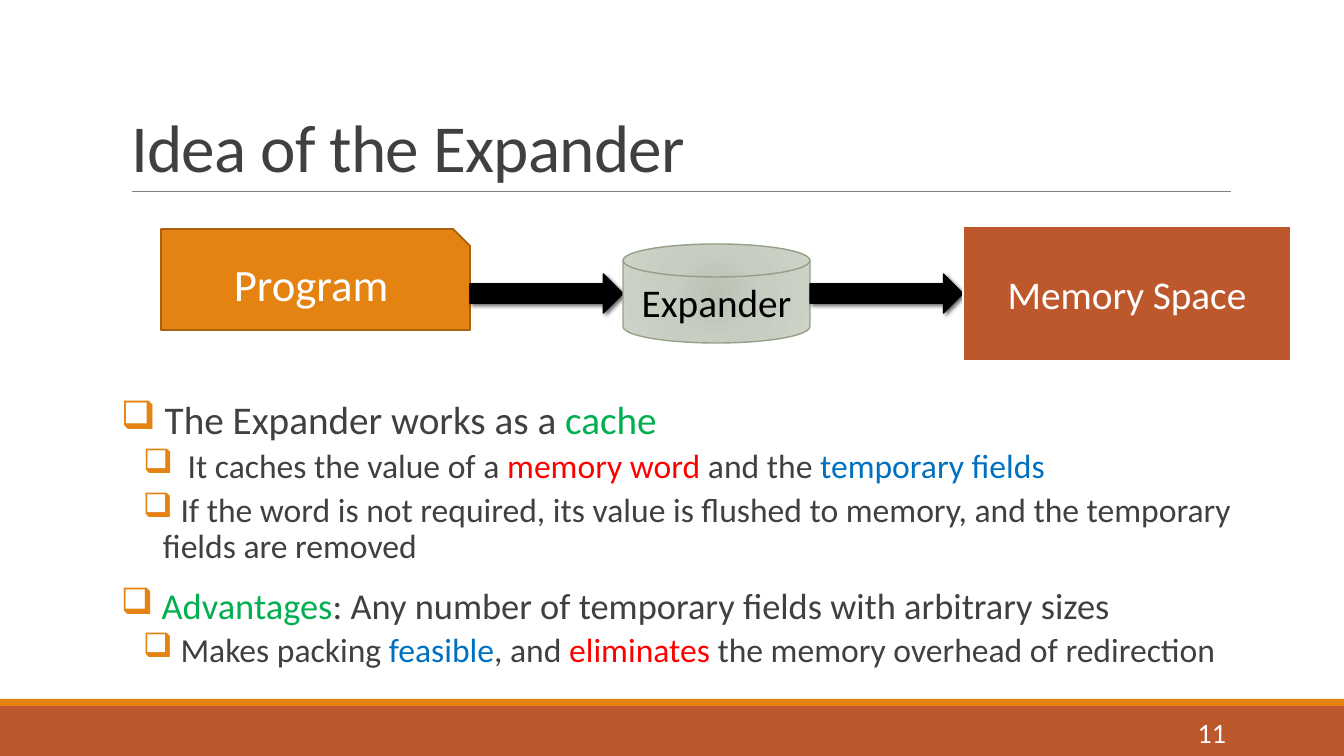
from collections import namedtuple

from pptx import Presentation
from pptx.dml.color import RGBColor
from pptx.enum.shapes import MSO_CONNECTOR, MSO_SHAPE as Preset
from pptx.enum.text import MSO_ANCHOR as Anchor, PP_ALIGN as Align
from pptx.oxml import parse_xml
from pptx.oxml.ns import nsdecls
from pptx.util import Pt

Box = namedtuple("Box", "left top width height")
Step = namedtuple("Step", "preset width height lift fill line line_width label size color")

EMU_PER_PX = 914400 / 100.8
FONT = "Calibri"
WHITE = RGBColor(0xFF, 0xFF, 0xFF)
BLACK = RGBColor(0x00, 0x00, 0x00)
DARK = RGBColor(0x40, 0x40, 0x40)
GRAY = RGBColor(0x80, 0x80, 0x80)
ORANGE = RGBColor(0xE4, 0x83, 0x12)
BROWN = RGBColor(0xA9, 0x61, 0x0D)
RUST = RGBColor(0xBD, 0x58, 0x2C)
SAGE = RGBColor(0x94, 0xA0, 0x88)
GREEN = RGBColor(0x00, 0xB0, 0x50)
RED = RGBColor(0xFF, 0x00, 0x00)
BLUE = RGBColor(0x00, 0x70, 0xC0)
DISK_STOPS = ((0, "BBC3B5"), (45, "C7CDC1"), (100, "CDD4C7"))

ARROW = Step(Preset.RIGHT_ARROW, 153, 39, 0, BLACK, BLACK, 1, "", 0, BLACK)
STEPS = (
    Step(Preset.SNIP_1_RECTANGLE, 309, 101, 14, ORANGE, BROWN, 1.25, "Program", 32, WHITE),
    ARROW,
    Step(Preset.FLOWCHART_MAGNETIC_DISK, 187, 99, 0, None, SAGE, 1, "Expander", 28, BLACK),
    ARROW,
    Step(Preset.RECTANGLE, 328, 135, 0, RUST, WHITE, 2, "Memory Space", 28, WHITE),
)

TOP = {"level": 0, "space_before": Pt(12), "space_after": Pt(2)}
SUB = {"level": 1, "space_before": Pt(2), "space_after": Pt(4)}
POINTS = (
    (TOP, 28, 10, 10, ((" The Expander works as a ", DARK), ("cache", GREEN))),
    (SUB, 24, 59, 37, ((" It caches the value of a ", DARK), ("memory word ", RED),
                       ("and the ", DARK), ("temporary fields", BLUE))),
    (SUB, 24, 42, 20, ((" If the word is not required, its value is flushed to memory, "
                        "and the temporary fields are removed", DARK),)),
    (TOP, 26, 10, 10, ((" ", DARK), ("Advantages", GREEN),
                       (": Any number of temporary fields with arbitrary sizes", DARK))),
    (SUB, 24, 42, 20, ((" Makes packing ", DARK), ("feasible", BLUE), (", and ", DARK),
                       ("eliminates", RED),
                       (" the memory overhead of redirection", DARK))),
)


def px(length):
    """Turn a length in px into EMU."""
    return round(length * EMU_PER_PX)


def emu(box):
    """Turn a box in px into EMU values."""
    return [px(length) for length in box]


def apply(target, values):
    """Set each named attribute of the target."""
    for name, value in values.items():
        setattr(target, name, value)


def add_span(para, text, size, color):
    """Append one formatted run to a paragraph."""
    span = para.add_run()
    span.text = text
    apply(span.font, {"name": FONT, "size": Pt(size)})
    span.font.color.rgb = color
    return span


def add_block(page, preset, box, fill):
    """Place a preset shape without line or shadow."""
    block = page.shapes.add_shape(preset, *emu(box))
    block.shadow.inherit = False
    block.line.fill.background()
    if fill is not None:
        block.fill.solid()
        block.fill.fore_color.rgb = fill
    return block


def add_disk_gradient(disk):
    """Fill the disk with a circular gradient."""
    stops = "".join(
        f'<a:gs pos="{place * 1000}"><a:srgbClr val="{color}"/></a:gs>'
        for place, color in DISK_STOPS)
    disk._element.spPr.insert(2, parse_xml(
        f'<a:gradFill {nsdecls("a")} rotWithShape="1"><a:gsLst>{stops}</a:gsLst>'
        '<a:path path="circle"><a:fillToRect l="100000" t="100000" r="100000" '
        'b="100000"/></a:path></a:gradFill>'))


def add_arrow_shadow(arrow):
    """Give an arrow a soft shadow to the lower right."""
    effects = arrow._element.spPr.find("{*}effectLst")
    effects.append(parse_xml(
        f'<a:outerShdw {nsdecls("a")} blurRad="{Pt(3)}" dist="{Pt(2)}" dir="2700000" '
        'rotWithShape="0"><a:srgbClr val="000000"><a:alpha val="60000"/></a:srgbClr>'
        '</a:outerShdw>'))


def add_title(page, box):
    """Fill the title and draw the rule beneath it."""
    title = page.shapes.title
    apply(title, dict(zip(box._fields, emu(box))))
    apply(title.text_frame, {"vertical_anchor": Anchor.BOTTOM, "word_wrap": True})
    para = title.text_frame.paragraphs[0]
    apply(para, {"alignment": Align.LEFT, "line_spacing": 0.85})
    span = add_span(para, "Idea of the Expander", 48, DARK)
    span._r.get_or_add_rPr().set("spc", "-50")
    left, bottom = box.left + 11, box.top + box.height
    rule = page.shapes.add_connector(
        MSO_CONNECTOR.STRAIGHT, px(left), px(bottom), px(left + 1099), px(bottom))
    rule.line.color.rgb = GRAY
    rule.line.width = Pt(0.5)
    rule._element.spPr.append(parse_xml(f'<a:effectLst {nsdecls("a")}/>'))


def add_flow(page, box):
    """Chain the steps from left to right about the middle of the box."""
    left = box.left
    for step in STEPS:
        top = box.top + (box.height - step.height) / 2 - step.lift
        block = add_block(page, step.preset, Box(left, top, step.width, step.height), step.fill)
        left += step.width
        if step.fill is None:
            add_disk_gradient(block)
        block.line.color.rgb = step.line
        block.line.width = Pt(step.line_width)
        if step is ARROW:
            add_arrow_shadow(block)
        else:
            block.text_frame.vertical_anchor = Anchor.MIDDLE
            para = block.text_frame.paragraphs[0]
            para.alignment = Align.CENTER
            add_span(para, step.label, step.size, step.color)


def add_bullet(para, margin, hang):
    """Give a paragraph a hanging orange box bullet."""
    props = para._p.get_or_add_pPr()
    props.set("marL", str(px(margin)))
    props.set("indent", str(-px(hang)))
    props.append(parse_xml(
        f'<a:buClr {nsdecls("a")}><a:srgbClr val="{ORANGE}"/></a:buClr>'))
    props.append(parse_xml(f'<a:buChar {nsdecls("a")} char="❑"/>'))


def add_points(page, box):
    """Write the bulleted points in the box."""
    frame = page.shapes.add_textbox(*emu(box)).text_frame
    apply(frame, {"word_wrap": True, "margin_left": 0, "margin_right": 0})
    for index, (layout, size, margin, hang, spans) in enumerate(POINTS):
        para = frame.add_paragraph() if index else frame.paragraphs[0]
        add_bullet(para, margin, hang)
        apply(para, {**layout, "line_spacing": 0.9})
        if index == 0:
            para.space_before = Pt(0)
        for text, color in spans:
            add_span(para, text, size, color)


def add_footer(page, box):
    """Draw the two footer bands and the page number."""
    stripe = 7
    add_block(page, Preset.RECTANGLE,
              Box(box.left, box.top + stripe, box.width, box.height - stripe), RUST)
    add_block(page, Preset.RECTANGLE, Box(box.left, box.top, box.width, stripe), ORANGE)
    number = Box(box.left + box.width - 252, box.top + 13, 144, 40)
    frame = page.shapes.add_textbox(*emu(number)).text_frame
    apply(frame, {"word_wrap": True, "vertical_anchor": Anchor.MIDDLE})
    frame.paragraphs[0].alignment = Align.RIGHT
    add_span(frame.paragraphs[0], "11", 20, WHITE)


def main():
    """Build the slide and save it."""
    deck = Presentation()
    apply(deck, {"slide_width": px(1344), "slide_height": px(756)})
    page = deck.slides.add_slide(deck.slide_layouts[5])
    add_footer(page, Box(0, 699, 1344, 57))
    add_title(page, Box(121, 31, 1109, 160))
    add_points(page, Box(121, 396, 1131, 286))
    add_flow(page, Box(161, 226, 1130, 135))
    deck.save("out.pptx")


if __name__ == "__main__":
    main()
